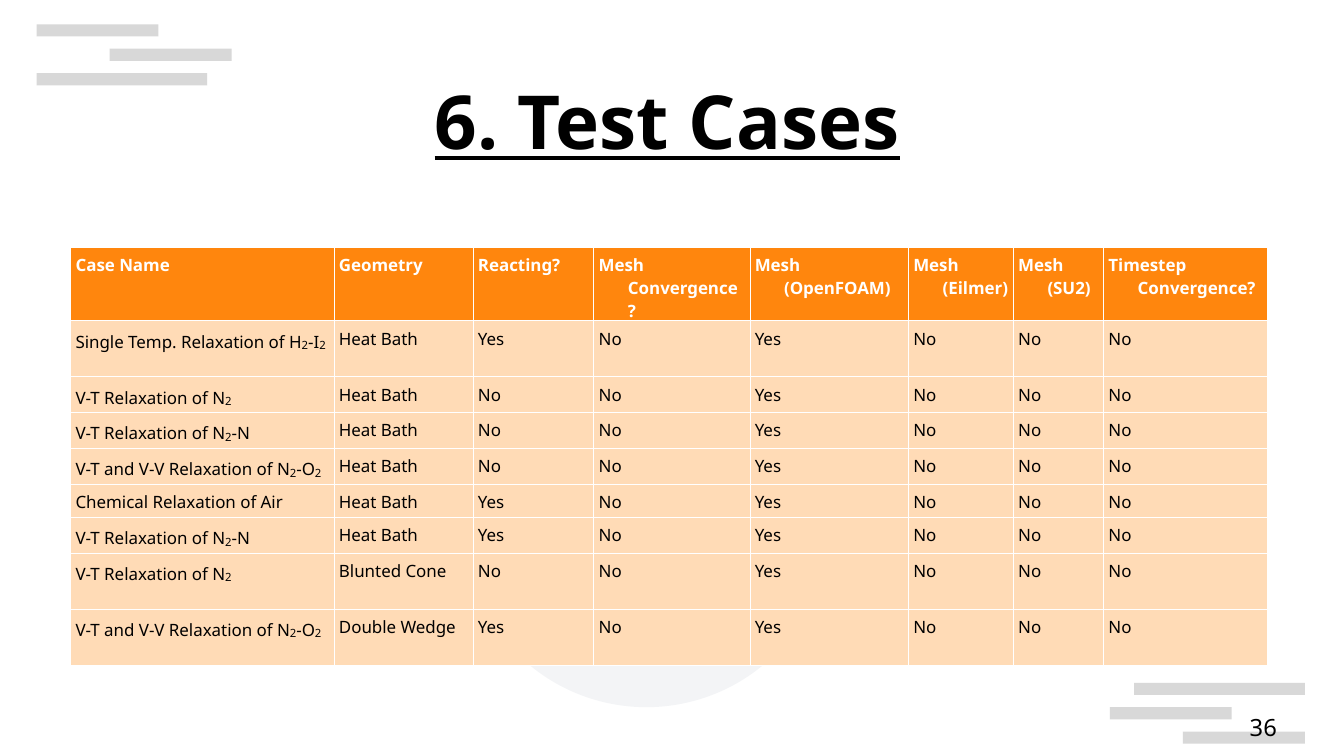
from lxml import etree
from pptx import Presentation
from pptx import util as u
from pptx.dml.color import RGBColor
from pptx.enum import shapes, text
from pptx.oxml.ns import qn

BLACK = RGBColor(0x00, 0x00, 0x00)
WHITE = RGBColor(0xFF, 0xFF, 0xFF)
GREY = RGBColor(0xCC, 0xCC, 0xCC)
SLATE = RGBColor(0x8D, 0x99, 0xAE)
ORANGE = RGBColor(0xFF, 0x86, 0x0D)
PEACH = RGBColor(0xFF, 0xDB, 0xB6)

WIDTH, HEIGHT = u.Inches(11.02), u.Inches(6.2)
UNIT = u.Inches(0.1)  # side of one grid square

BARS = [  # column, row, columns wide
    (93, 56, 14), (91, 58, 10), (97, 60, 10),
    (3, 6, 14), (9, 4, 10), (3, 2, 10),
]
COLUMN_WIDTHS = [21.6, 11.4, 9.9, 12.8, 13, 8.6, 7.4, 13.4]
ROW_HEIGHTS = [4.8, 4.6, 2.7, 2.7, 2.7, 2.7, 2.7, 4.6, 4.6]
HEADERS = ["Case Name", "Geometry", "Reacting?", "Mesh Convergence?",
           "Mesh (OpenFOAM)", "Mesh (Eilmer)", "Mesh (SU2)",
           "Timestep Convergence?"]
CASES = [  # name (~ lowers the next character), geometry, reacting
    ("Single Temp. Relaxation of H~2-I~2", "Heat Bath", "Yes"),
    ("V-T Relaxation of N~2", "Heat Bath", "No"),
    ("V-T Relaxation of N~2-N", "Heat Bath", "No"),
    ("V-T and V-V Relaxation of N~2-O~2", "Heat Bath", "No"),
    ("Chemical Relaxation of Air", "Heat Bath", "Yes"),
    ("V-T Relaxation of N~2-N", "Heat Bath", "Yes"),
    ("V-T Relaxation of N~2", "Blunted Cone", "No"),
    ("V-T and V-V Relaxation of N~2-O~2", "Double Wedge", "Yes"),
]
MESH_AND_TIMESTEP = ("No", "Yes", "No", "No", "No")  # same for every case


def grid(*squares):
    return [round(count * UNIT) for count in squares]


def write(para, wording, size=10, color=BLACK, bold=False, underline=False,
          align=None, spacing=None, hanging=0):
    """Fill a paragraph; a ~ in the wording lowers the character after it."""
    para.alignment = align
    para.line_spacing = spacing
    if hanging:
        properties = para._p.get_or_add_pPr()
        properties.set("marL", str(hanging))
        properties.set("indent", str(-hanging))

    def add_span(piece, lowered=False):
        span = para.add_run()
        span.text = piece
        font = span.font
        font.name = "Noto Sans"
        font.size = u.Pt(11.6 if lowered else size)
        font.bold, font.underline = bold, underline
        font.color.rgb = color
        if lowered:
            span._r.get_or_add_rPr().set("baseline", "-8000")

    first, *rest = wording.split("~")
    add_span(first)
    for piece in rest:
        add_span(piece[0], lowered=True)
        if piece[1:]:
            add_span(piece[1:])


def outline(cell, color, width):
    properties = cell._tc.get_or_add_tcPr()
    for side in ("a:lnL", "a:lnR", "a:lnT", "a:lnB"):
        line = etree.SubElement(properties, qn(side), w=str(u.Pt(width)))
        fill = etree.SubElement(line, qn("a:solidFill"))
        etree.SubElement(fill, qn("a:srgbClr"), val=str(color))


class Page:
    """The current slide and its style, measured in grid squares."""

    def __init__(self, deck):
        self.shapes = deck.slides.add_slide(deck.slide_layouts[6]).shapes

    def tint(self, kind, left, top, width, height, color, opacity):
        """Add a see-through shape; opacity is in percent."""
        shape = self.shapes.add_shape(kind, *grid(left, top, width, height))
        shape.shadow.inherit = False
        shape.line.fill.background()
        shape.fill.solid()
        shape.fill.fore_color.rgb = color
        swatch = shape._element.spPr.find(".//" + qn("a:srgbClr"))
        etree.SubElement(swatch, qn("a:alpha"), val=str(opacity * 1000))

    def label(self, wording, left, top, width, height, anchor, **style):
        box = self.shapes.add_textbox(*grid(left, top, width, height))
        frame = box.text_frame
        frame.word_wrap = True
        frame.vertical_anchor = anchor
        frame.margin_left = frame.margin_right = 0
        frame.margin_top = frame.margin_bottom = 0
        write(frame.paragraphs[0], wording, **style)

    def table(self, rows, left, top, widths, heights):
        """Add a table whose first row is the header."""
        table = self.shapes.add_table(
            len(rows), len(widths),
            *grid(left, top, sum(widths), sum(heights))).table
        table.first_row = table.horz_banding = False
        for column, width in zip(table.columns, grid(*widths)):
            column.width = width
        for row, height in zip(table.rows, grid(*heights)):
            row.height = height
        for row_index, row in enumerate(rows):
            header = row_index == 0
            for column_index, wording in enumerate(row):
                cell = table.cell(row_index, column_index)
                cell.margin_left = cell.margin_right = u.Inches(0.04)
                cell.margin_top = cell.margin_bottom = u.Inches(0.05)
                outline(cell, WHITE, 0.57)
                cell.fill.solid()
                cell.fill.fore_color.rgb = ORANGE if header else PEACH
                write(cell.text_frame.paragraphs[0], wording, bold=header,
                      color=WHITE if header else BLACK,
                      hanging=u.Inches(0.24))


def main():
    deck = Presentation()
    deck.slide_width, deck.slide_height = WIDTH, HEIGHT
    page = Page(deck)
    for left, top, width in BARS:
        page.tint(shapes.MSO_SHAPE.RECTANGLE, left, top, width, 1, GREY, 75)
    page.tint(shapes.MSO_SHAPE.OVAL, 38, 28, 30, 30, SLATE, 10)
    page.label("6. Test Cases", 5.1, 5.1, 99.2, 10.3, text.MSO_ANCHOR.MIDDLE,
               size=44, bold=True, underline=True, spacing=0.9,
               align=text.PP_ALIGN.CENTER)
    page.table([HEADERS] + [case + MESH_AND_TIMESTEP for case in CASES],
               5.8, 20.3, COLUMN_WIDTHS, ROW_HEIGHTS)
    page.label("36", 79, 56.5, 25.7, 4.3, text.MSO_ANCHOR.BOTTOM,
               size=14, align=text.PP_ALIGN.RIGHT)
    deck.save("out.pptx")


if __name__ == "__main__":
    main()
